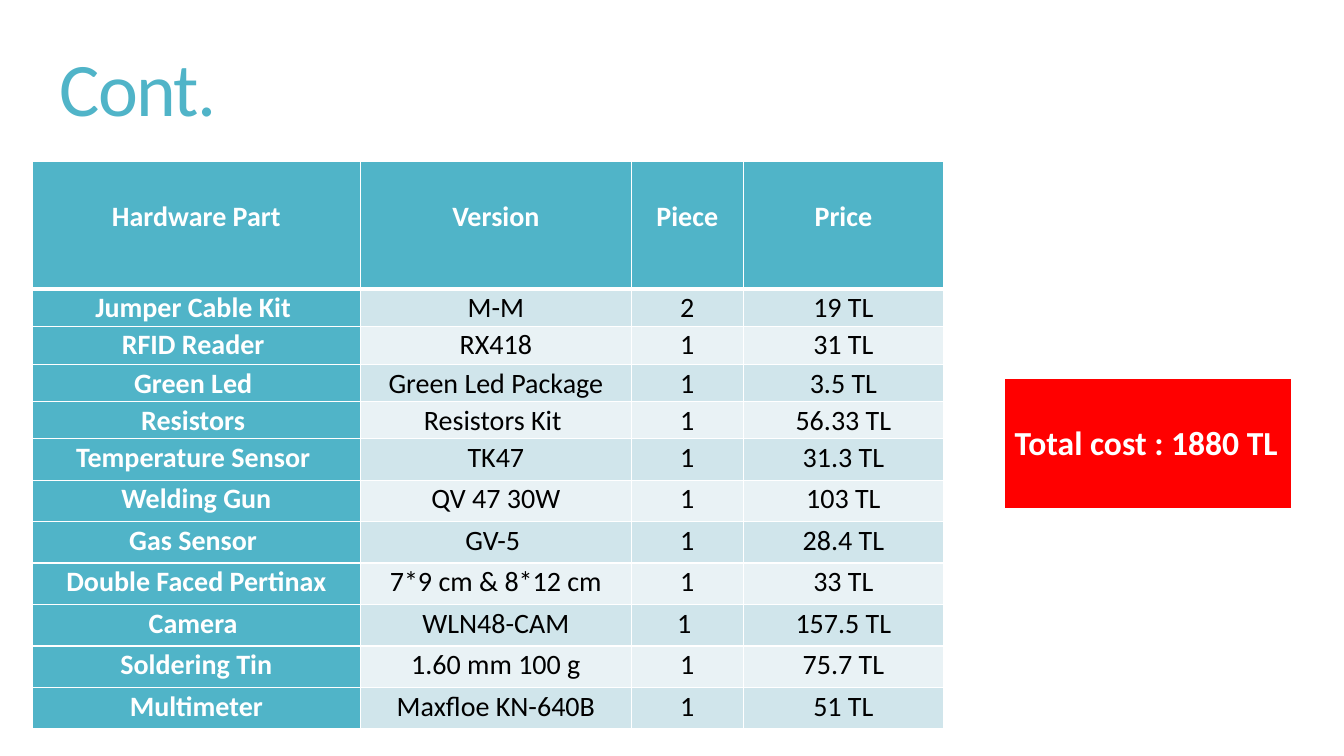
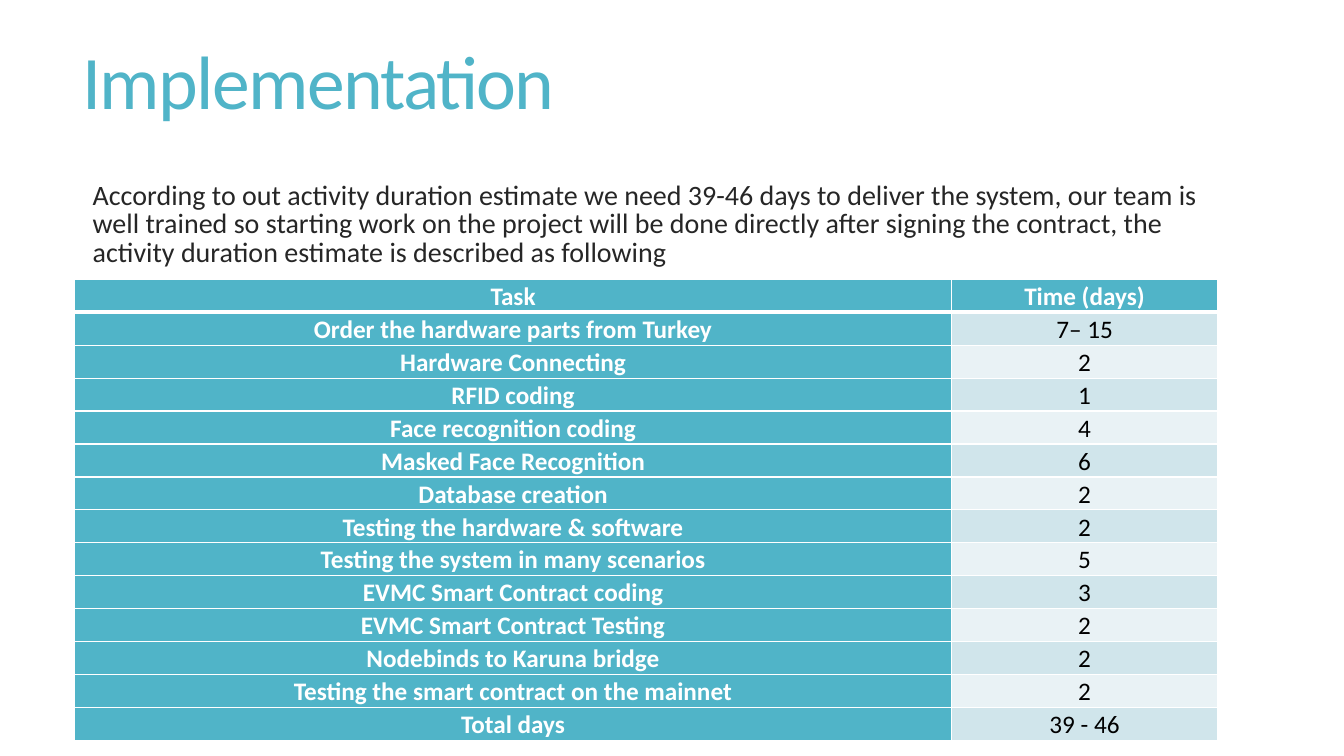
from lxml import etree
from pptx import Presentation
from pptx.dml.color import RGBColor
from pptx.enum import text as txt
from pptx.oxml import ns
from pptx.util import Pt

FONT = "Calibri"
TEAL, RED, WHITE, BLACK, INK = "50B4C8", "FF0000", "FFFFFF", "000000", "262626"
BANDS = ["D0E5EB", "E9F2F5"]
TITLE_ONLY, TITLE_AND_BODY = 5, 1
THIN, THICK = 1, 3

PARTS = [
    ("Hardware Part", "Version", "Piece", "Price"),
    ("Jumper Cable Kit ", "M-M", "2", "19 TL"),
    ("RFID Reader ", "RX418", "1", "31 TL"),
    ("Green Led ", "Green Led Package", "1", "3.5 TL"),
    ("Resistors ", "Resistors Kit ", "1", "56.33 TL"),
    ("Temperature Sensor ", "TK47", "1", "31.3 TL"),
    ("Welding Gun", "QV 47 30W", "1", "103 TL"),
    ("Gas Sensor ", "GV-5 ", "1", "28.4 TL"),
    ("Double Faced Pertinax", "7*9 cm & 8*12 cm", "1", "33 TL"),
    ("Camera ", "WLN48-CAM", "1 ", "157.5 TL"),
    ("Soldering Tin", "1.60 mm 100 g", "1", "75.7 TL"),
    ("Multimeter", "Maxfloe KN-640B", "1", "51 TL"),
]

TASKS = [
    ("Task", "Time (days)"),
    ("Order the hardware parts from Turkey", "7– 15"),
    ("Hardware Connecting", "2"),
    ("RFID coding", "1"),
    ("Face recognition coding", "4"),
    ("Masked Face Recognition", "6"),
    ("Database creation", "2"),
    ("Testing the hardware & software", "2"),
    ("Testing the system in many scenarios", "5"),
    ("EVMC Smart Contract coding", "3"),
    ("EVMC Smart Contract Testing", "2"),
    ("Nodebinds to Karuna bridge", "2"),
    ("Testing the smart contract on the mainnet", "2"),
    ("Total days", "39 - 46"),
]

ESTIMATE = (
    "According to out activity duration estimate we need 39-46 days to deliver "
    "the system, our team is well trained so starting work on the project will "
    "be done directly after signing the contract, the activity duration "
    "estimate is described as following"
)


def color(code):
    return RGBColor.from_string(code)


# Text
def write(frame, content, size, ink, bold=False, align=txt.PP_ALIGN.LEFT,
          line=1.0, tracking=None):
    """Put one formatted paragraph into a text frame."""
    para = frame.paragraphs[0]
    para.alignment = align
    para.line_spacing = line
    para.space_before = Pt(0)
    span = para.add_run()
    span.text = content
    span.font.name = FONT
    span.font.size = Pt(size)
    span.font.bold = bold
    span.font.color.rgb = color(ink)
    if tracking is not None:
        span.font._element.set("spc", str(round(tracking * 100)))
    return para


def fill_placeholder(box, place, anchor, content, **style):
    box.left, box.top, box.width, box.height = map(Pt, place)
    frame = box.text_frame
    frame.word_wrap = True
    frame.auto_size = txt.MSO_AUTO_SIZE.NONE
    frame.vertical_anchor = anchor
    return write(frame, content, line=0.85, **style)


def add_page(deck, layout, title, left, top):
    page = deck.slides.add_slide(deck.slide_layouts[layout])
    fill_placeholder(page.shapes.title, (left, top, 848, 130),
                     txt.MSO_ANCHOR.MIDDLE, title, size=54, ink=TEAL, tracking=-1.2)
    return page


def add_body(page, content, place):
    para = fill_placeholder(page.placeholders[1], place, txt.MSO_ANCHOR.TOP,
                            content, size=20, ink=INK)
    props = para._p.get_or_add_pPr()
    props.set("marL", str(Pt(7.2)))
    props.set("indent", "0")
    etree.SubElement(props, ns.qn("a:buNone"))


# Tables
def set_borders(cell, top=THIN, bottom=THIN):
    props = cell._tc.get_or_add_tcPr()
    for side, width in (("L", THIN), ("R", THIN), ("T", top), ("B", bottom)):
        line = etree.SubElement(props, ns.qn(f"a:ln{side}"), w=str(Pt(width)))
        fill = etree.SubElement(line, ns.qn("a:solidFill"))
        etree.SubElement(fill, ns.qn("a:srgbClr"), val=WHITE)


def paint(cell, fill):
    cell.fill.solid()
    cell.fill.fore_color.rgb = color(fill)


def new_table(page, left, top, widths, heights):
    frame = page.shapes.add_table(len(heights), len(widths), Pt(left), Pt(top),
                                  Pt(sum(widths)), Pt(sum(heights)))
    table = frame.table
    table.first_row = table.horz_banding = False
    for column, width in zip(table.columns, widths):
        column.width = Pt(width)
    for row, height in zip(table.rows, heights):
        row.height = Pt(height)
    return table


def add_banded_table(page, left, top, widths, heights, rows, size, line,
                     header_drop=0):
    """Table with a teal header row and first column, and banded values."""
    table = new_table(page, left, top, widths, heights)
    for r, row in enumerate(rows):
        for c, content in enumerate(row):
            cell = table.cell(r, c)
            heading = r == 0 or c == 0
            cell.margin_left = cell.margin_right = Pt(5)
            cell.margin_top = Pt(header_drop if r == 0 else 0)
            cell.margin_bottom = Pt(0)
            set_borders(cell, top=THICK if r == 1 else THIN,
                        bottom=THICK if r == 0 else THIN)
            paint(cell, TEAL if heading else BANDS[(r - 1) % 2])
            write(cell.text_frame, content, size, WHITE if heading else BLACK,
                  bold=heading, align=txt.PP_ALIGN.CENTER, line=line)


def add_total(page, content, left, top, width, height):
    cell = new_table(page, left, top, [width], [height]).cell(0, 0)
    cell.vertical_anchor = txt.MSO_ANCHOR.MIDDLE
    set_borders(cell, bottom=THICK)
    paint(cell, RED)
    write(cell.text_frame, content, 24, WHITE, bold=True)


# Slides
def build_costs(deck):
    page = add_page(deck, TITLE_ONLY, "Cont.", 35.3, 1.4)
    heights = [91.5, 26.5, 27.5, 26.5, 26.5] + [29.6] * 7
    add_banded_table(page, 23, 115, [234.5, 193.5, 80, 143], heights, PARTS,
                     size=20, line=1.06, header_drop=26)
    add_total(page, "Total cost : 1880 TL", 717.5, 270, 205, 94.5)


def build_schedule(deck):
    page = add_page(deck, TITLE_AND_BODY, "Implementation", 51.8, -3.6)
    add_body(page, ESTIMATE, (51.8, 126.7, 846.7, 296.6))
    add_banded_table(page, 53.3, 199.5, [626.4, 190], [23.4] * len(TASKS), TASKS,
                     size=18, line=1.07)


def main():
    deck = Presentation()
    deck.slide_width, deck.slide_height = Pt(960), Pt(540)
    build_costs(deck)
    build_schedule(deck)
    deck.save("out.pptx")


if __name__ == "__main__":
    main()
